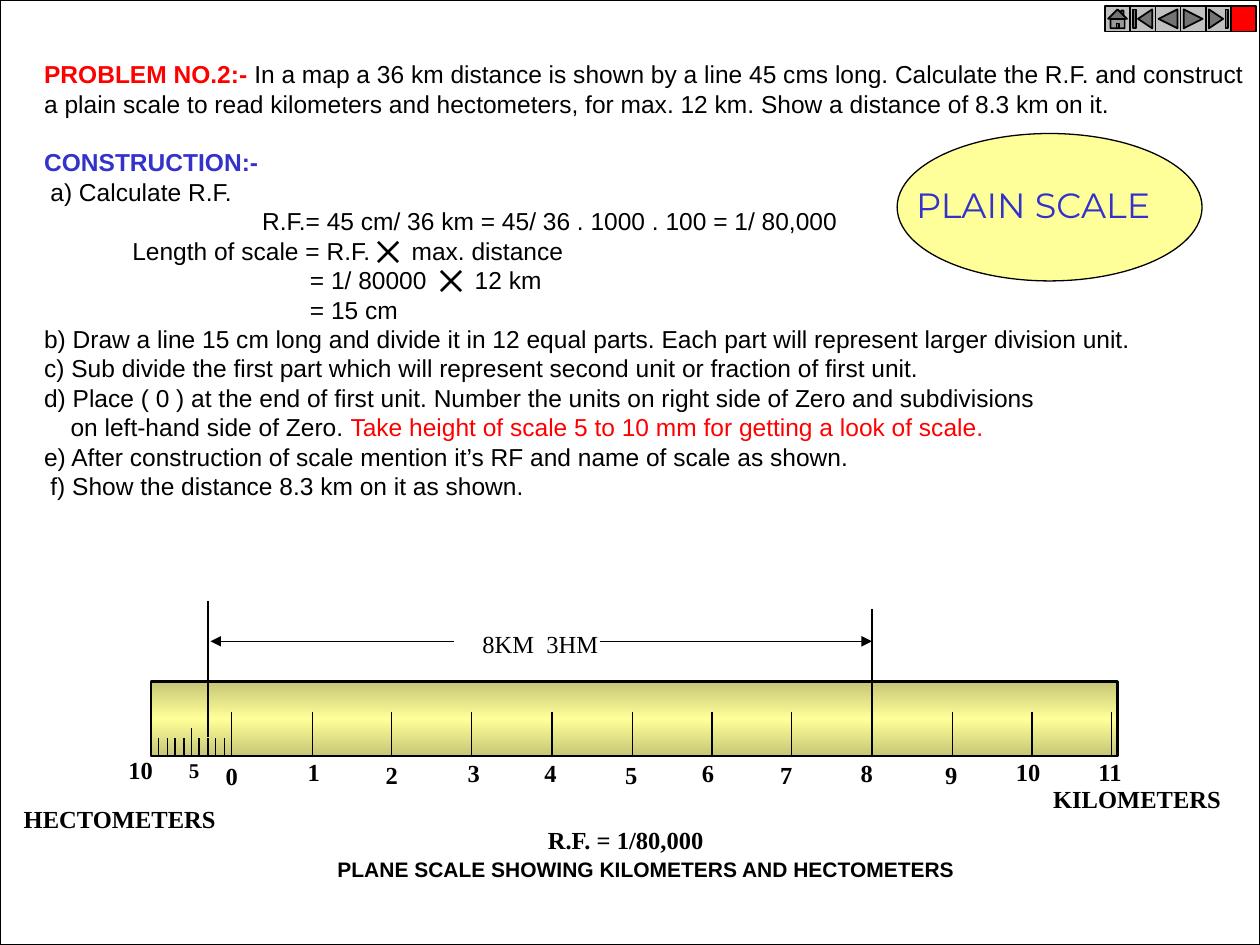
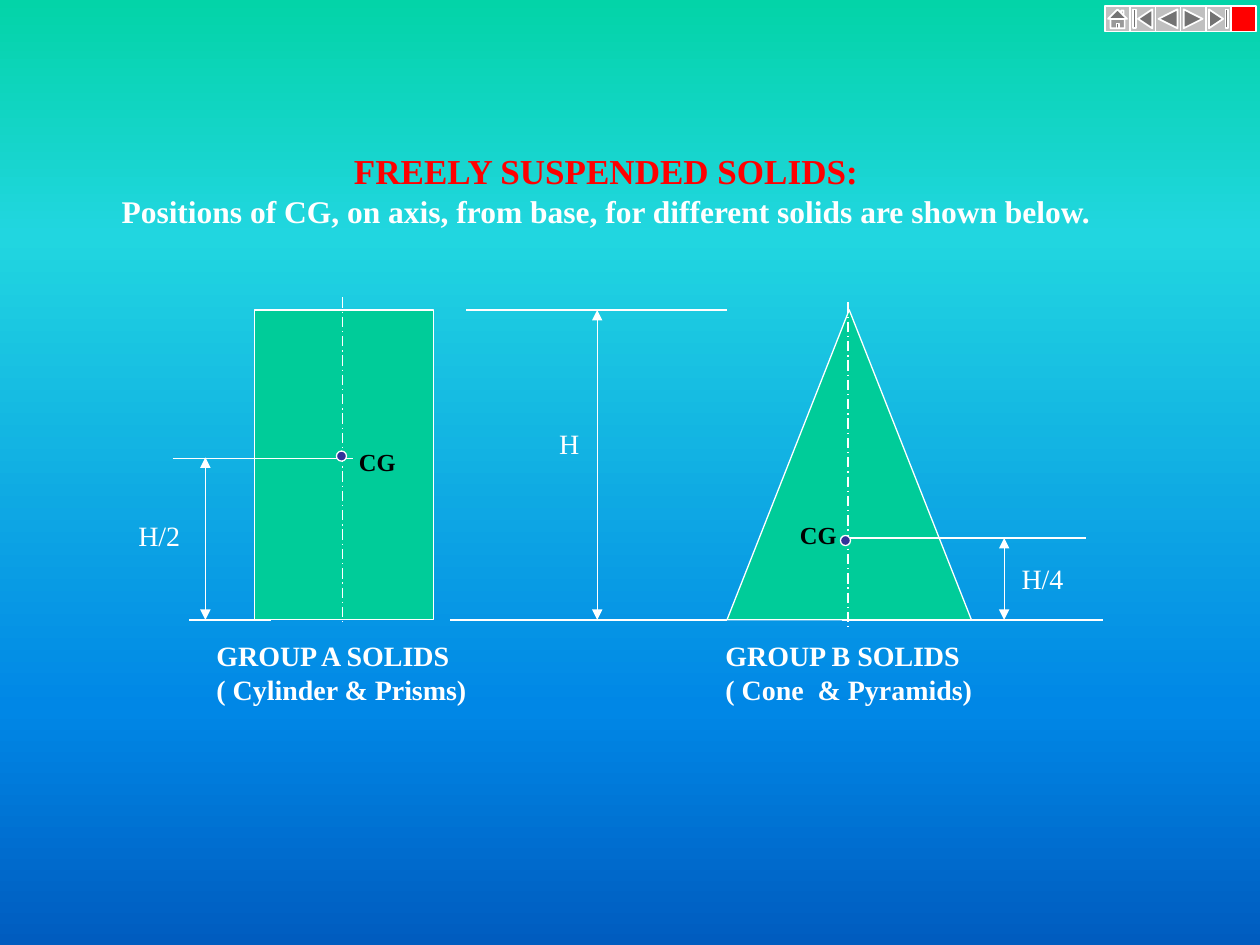
from lxml import etree
from pptx import Presentation
from pptx import util as u
from pptx.dml.color import RGBColor
from pptx.enum import dml, shapes, text
from pptx.oxml.ns import qn

PX = 9144  # EMU per px, 100 px to the inch
COLORS = {
    "black": "000000", "white": "FFFFFF", "red": "FF0000", "blue": "3333CC",
    "yellow": "FFFF99", "olive": "C6C677", "green": "00CC99",
    "navy": "333399", "grey": "C0C0C0",
    "sky1": "03D4A8", "sky2": "21D6E0", "sky3": "0087E6", "sky4": "005CBF",
}
RGB = {name: RGBColor.from_string(value) for name, value in COLORS.items()}
SERIF, SANS, ROUND = "Times New Roman", "Arial", "Montserrat"
LEFT, CENTER = text.PP_ALIGN.LEFT, text.PP_ALIGN.CENTER
MSO = shapes.MSO_SHAPE
LINE_PT = 16.8


def add_shape(s, kind, box, fill, edge, weight=0.75):
    sp = s.shapes.add_shape(kind, *[v * PX for v in box])
    sp.shadow.inherit = False
    sp.fill.solid()
    sp.fill.fore_color.rgb = RGB[fill]
    sp.line.color.rgb = RGB[edge]
    sp.line.width = u.Pt(weight)
    return sp


def add_line(s, ends, color, weight=0.75, arrows=(), dash=None):
    """Draw a line (x1, y1, x2, y2); arrows names headEnd and/or tailEnd."""
    c = s.shapes.add_connector(shapes.MSO_CONNECTOR.STRAIGHT,
                               *[v * PX for v in ends])
    c.line.color.rgb = RGB[color]
    c.line.width = u.Pt(weight)
    if dash:
        c.line.dash_style = dash
    ln = c.element.find(".//" + qn("a:ln"))
    for end in arrows:
        etree.SubElement(ln, qn("a:" + end), type="triangle")
    etree.SubElement(c.element.spPr, qn("a:effectLst"))


prs = Presentation()
prs.slide_width, prs.slide_height = 1000 * PX, 750 * PX
scale_slide = prs.slides.add_slide(prs.slide_layouts[1])
solids_slide = prs.slides.add_slide(prs.slide_layouts[5])

# Plain scale: frame, rule and title oval
s = scale_slide
s.background.fill.solid()
s.background.fill.fore_color.rgb = RGB["white"]
add_shape(s, MSO.RECTANGLE, (0, 0, 1000, 750), "white", "black")
rule = add_shape(s, MSO.RECTANGLE, (120, 541, 767, 59), "yellow", "black", 1.5)
add_shape(s, MSO.OVAL, (712, 106, 242, 117), "yellow", "black")

# Gradients of the rule and of the solids background
gradients = [
    (s, rule.fill, [(0, "olive"), (50, "yellow"), (100, "olive")]),
    (solids_slide, solids_slide.background.fill,
     [(0, "sky1"), (25, "sky2"), (75, "sky3"), (100, "sky4")]),
]
for owner, fill, stops in gradients:
    fill.gradient()
    fill.gradient_angle = 270
    gs_list = owner.element.find(".//" + qn("a:gsLst"))
    for gs in list(gs_list):
        gs_list.remove(gs)
    for pos, color in stops:
        gs = etree.SubElement(gs_list, qn("a:gs"), pos=str(pos * 1000))
        etree.SubElement(gs, qn("a:srgbClr"), val=COLORS[color])

# Titles, brought in front of the shapes drawn so far
titles = [
    (scale_slide, (717, 141, 235, 43), LEFT,
     [("PLAIN SCALE", ROUND, 20, False, "blue")]),
    (solids_slide, (85, 114, 792, 73), CENTER,
     [("FREELY SUSPENDED SOLIDS:", SERIF, 20, True, "red"),
      ("Positions of CG, on axis, from base, for different solids are shown below.",
       SERIF, 18, True, "white")]),
]
for s, box, align, lines in titles:
    sp = s.shapes.title
    s.shapes.element.append(sp.element)
    sp.left, sp.top, sp.width, sp.height = [v * PX for v in box]
    tf = sp.text_frame
    tf.auto_size = text.MSO_AUTO_SIZE.NONE
    tf.word_wrap = False
    tf.vertical_anchor = text.MSO_ANCHOR.TOP
    for i, (words, font, size, bold, color) in enumerate(lines):
        p = tf.add_paragraph() if i else tf.paragraphs[0]
        p.alignment = align
        r = p.add_run()
        r.text = words
        r.font.name, r.font.size, r.font.bold = font, u.Pt(size), bold
        r.font.color.rgb = RGB[color]

# Problem and construction steps: indent, then runs of
# (words, color, bold, letter spacing in points)
s = scale_slide
steps = [
    (0, [("PROBLEM NO.2:-", "red", True, 0),
         (" In a map a 36 km distance is shown by a line 45 cms long. "
          "Calculate the R.F. and construct", "black", False, 0)]),
    (0, [("a plain scale to read kilometers and hectometers, for max. 12 km. "
          "Show a distance of 8.3 km on it.", "black", False, 0)]),
    (0, [("CONSTRUCTION:-", "blue", True, 0)]),
    (5, [("a) Calculate R.F.", "black", False, 0)]),
    (173, [("R.F.= 45 cm/ 36 km = 45/ 36 . 1000 . 100 = 1/ 80,000",
            "black", False, 0)]),
    (70, [("Length of scale = R.F.", "black", False, 0),
          (" ", "black", False, 19.5),
          ("max. distance", "black", False, 0)]),
    (211, [("= 1/ 80000", "black", False, 0),
           (" ", "black", False, 23.5),
           ("12 km", "black", False, 0)]),
    (211, [("= 15 cm", "black", False, 0)]),
    (0, [("b) Draw a line 15 cm long and divide it in 12 equal parts. "
          "Each part will represent larger division unit.", "black", False, 0)]),
    (0, [("c) Sub divide the first part which will represent second unit "
          "or fraction of first unit.", "black", False, 0)]),
    (0, [("d) Place ( 0 ) at the end of first unit. Number the units on "
          "right side of Zero and subdivisions", "black", False, 0)]),
    (21, [("on left-hand side of Zero. ", "black", False, 0),
          ("Take height of scale 5 to 10 mm for getting a look of scale.",
           "red", False, 0)]),
    (0, [("e) After construction of scale mention it’s RF and name of scale "
          "as shown.", "black", False, 0)]),
    (5, [("f) Show the distance 8.3 km on it as shown.", "black", False, 0)]),
]
body = s.placeholders[1]
s.shapes.element.append(body.element)
body.left, body.top, body.width, body.height = [v * PX for v in (25, 42, 975, 359)]
tf = body.text_frame
tf.auto_size = text.MSO_AUTO_SIZE.NONE
tf.word_wrap = False
for i, (indent, runs) in enumerate(steps):
    p = tf.add_paragraph() if i else tf.paragraphs[0]
    pPr = p._p.get_or_add_pPr()
    pPr.set("marL", str(indent * PX))
    pPr.set("indent", "0")
    etree.SubElement(pPr, qn("a:buNone"))
    p.line_spacing = u.Pt(LINE_PT)
    p.space_before = u.Pt(LINE_PT if runs[0][0] == "CONSTRUCTION:-" else 0)
    for words, color, bold, spacing in runs:
        r = p.add_run()
        r.text = words
        r.font.name, r.font.size, r.font.bold = SANS, u.Pt(14), bold
        r.font.color.rgb = RGB[color]
        if spacing:
            r._r.get_or_add_rPr().set("spc", str(round(spacing * 100)))

# Multiplication crosses
for x, y in [(300, 192), (350, 215)]:
    add_line(s, (x, y, x + 16, y + 16), "black", 1.5)
    add_line(s, (x + 16, y, x, y + 16), "black", 1.5)

# Marked distance, then kilometer and hectometer ticks
add_line(s, (692, 575, 692, 483), "black")
add_line(s, (165, 585, 165, 477), "black")
add_line(s, (476, 509, 692, 509), "black", arrows=["tailEnd"])
add_line(s, (360, 509, 167, 509), "black", arrows=["tailEnd"])
add_line(s, (120, 600, 886, 600), "black")
for km in range(-1, 12):
    x = round(184 + km * 63.5)
    add_line(s, (x, 565, x, 600), "black")
for hm in range(1, 11):
    x = round(120 + hm * 6.4)
    add_line(s, (x, 578 if hm == 5 else 586, x, 600), "black")

# Freely suspended solids
s = solids_slide
add_shape(s, MSO.RECTANGLE, (202, 246, 142, 246), "green", "white")
add_shape(s, MSO.ISOSCELES_TRIANGLE, (577, 246, 194, 246), "green", "white")
for ends in [(370, 246, 577, 246), (357, 492, 577, 492), (150, 492, 215, 492),
             (137, 364, 280, 364), (668, 427, 862, 427), (668, 492, 875, 492)]:
    add_line(s, ends, "white")
for x, top in [(474, 246), (797, 427), (163, 363)]:
    add_line(s, (x, top, x, 492), "white", arrows=["headEnd", "tailEnd"])
for x, top in [(272, 236), (673, 240)]:
    add_line(s, (x, top, x, top + 259), "white", dash=dml.MSO_LINE.LONG_DASH_DOT)
for x, y in [(267, 358), (667, 425)]:
    add_shape(s, MSO.OVAL, (x, y, 8, 8), "navy", "white")

# Labels of both slides
labels = [
    (scale_slide, (826, 617, 153, 33), LEFT, SERIF, 14, True, "black", ["KILOMETERS"]),
    (scale_slide, (9, 633, 173, 33), LEFT, SERIF, 14, True, "black", ["HECTOMETERS"]),
    (scale_slide, (373, 494, 112, 33), LEFT, SERIF, 14, False, "black", ["8KM  3HM"]),
    (scale_slide, (425, 650, 145, 33), LEFT, SERIF, 14, True, "black",
     ["R.F. = 1/80,000"]),
    (scale_slide, (258, 675, 511, 30), LEFT, SANS, 12, True, "black",
     ["PLANE SCALE SHOWING KILOMETERS AND HECTOMETERS"]),
    (scale_slide, (92, 594, 40, 33), LEFT, SERIF, 14, True, "black", ["10"]),
    (scale_slide, (140, 596, 28, 30), LEFT, SERIF, 12, True, "black", ["5"]),
    (solids_slide, (434, 334, 36, 37), LEFT, SERIF, 16, False, "white", ["H"]),
    (solids_slide, (100, 407, 53, 37), LEFT, SERIF, 16, False, "white", ["H/2"]),
    (solids_slide, (801, 441, 53, 37), LEFT, SERIF, 16, False, "white", ["H/4"]),
    (solids_slide, (162, 502, 220, 63), LEFT, SERIF, 16, True, "white",
     ["GROUP A SOLIDS", "( Cylinder & Prisms)"]),
    (solids_slide, (566, 502, 217, 63), LEFT, SERIF, 16, True, "white",
     ["GROUP B SOLIDS", "( Cone  & Pyramids)"]),
    (solids_slide, (275, 350, 49, 33), LEFT, SERIF, 14, True, "black", ["CG"]),
    (solids_slide, (625, 408, 49, 33), LEFT, SERIF, 14, True, "black", ["CG"]),
]
km_centers = [184, 249, 311, 376, 437, 501, 562, 624, 688, 755, 816, 881]
km_tops = [599, 596, 598, 597, 597, 598, 597, 598, 597, 598, 596, 596]
for km, (x, y) in enumerate(zip(km_centers, km_tops)):
    labels.append((scale_slide, (x - 25, y, 50, 33), CENTER, SERIF, 14, True,
                   "black", [str(km)]))
for s, box, align, font, size, bold, color, lines in labels:
    tf = s.shapes.add_textbox(*[v * PX for v in box]).text_frame
    tf.word_wrap = False
    for i, words in enumerate(lines):
        p = tf.add_paragraph() if i else tf.paragraphs[0]
        p.alignment = align
        r = p.add_run()
        r.text = words
        r.font.name, r.font.size, r.font.bold = font, u.Pt(size), bold
        r.font.color.rgb = RGB[color]

# Navigation bar
buttons = [
    (MSO.ACTION_BUTTON_HOME, "grey"),
    (MSO.ACTION_BUTTON_BEGINNING, "grey"),
    (MSO.ACTION_BUTTON_BACK_OR_PREVIOUS, "grey"),
    (MSO.ACTION_BUTTON_FORWARD_OR_NEXT, "grey"),
    (MSO.ACTION_BUTTON_END, "grey"),
    (MSO.ACTION_BUTTON_CUSTOM, "red"),
]
for s, edge in [(scale_slide, "black"), (solids_slide, "white")]:
    for i, (kind, fill) in enumerate(buttons):
        add_shape(s, kind, (877 + 20 * i, 5, 20, 20), fill, edge, 1)

prs.save("out.pptx")
